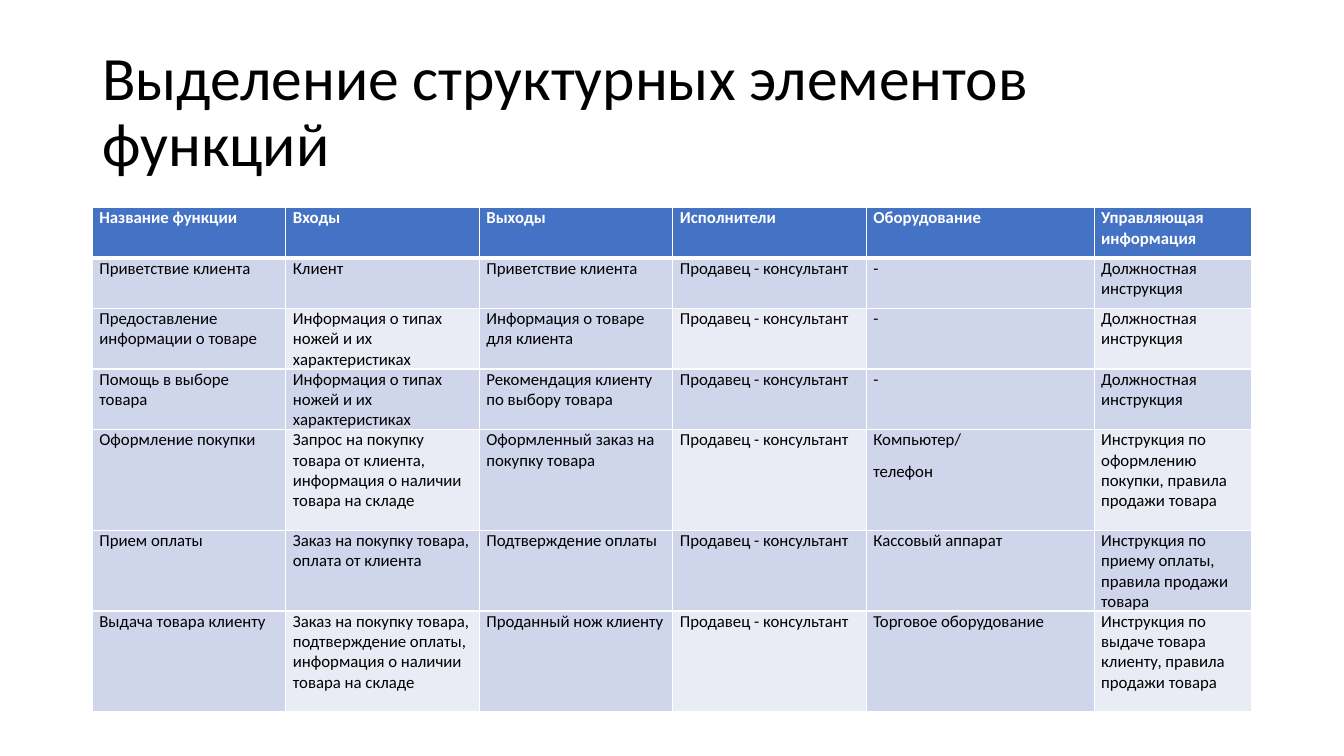
from lxml import etree
from pptx import Presentation
from pptx.dml.color import RGBColor
from pptx.enum.text import MSO_ANCHOR
from pptx.oxml.ns import qn
from pptx.util import Pt

MIDDLE = MSO_ANCHOR.MIDDLE
BLACK = RGBColor(0x00, 0x00, 0x00)
WHITE = RGBColor(0xFF, 0xFF, 0xFF)
HEADER_BLUE = RGBColor(0x44, 0x72, 0xC4)
BAND_DARK = RGBColor(0xCF, 0xD5, 0xEA)
BAND_LIGHT = RGBColor(0xE9, 0xEB, 0xF5)
FONT = "Calibri"

COLUMN_WIDTHS = [138.24, 138.24, 138.24, 138.24, 162.72, 112.32]
ROW_HEIGHTS = [36, 36, 36, 36, 72, 54, 72]
SELLER = "Продавец - консультант"
JOB_RULES = "Должностная инструкция"
KNIFE_INFO = "Информация о типах ножей и их характеристиках"
ROWS = [
    ["Название функции", "Входы", "Выходы", "Исполнители", "Оборудование",
     "Управляющая информация"],
    ["Приветствие клиента", "Клиент", "Приветствие клиента", SELLER, "-", JOB_RULES],
    ["Предоставление информации о товаре", KNIFE_INFO,
     "Информация о товаре для клиента", SELLER, "-", JOB_RULES],
    ["Помощь в выборе товара", KNIFE_INFO,
     "Рекомендация клиенту по выбору товара", SELLER, "-", JOB_RULES],
    ["Оформление покупки",
     "Запрос на покупку товара от клиента, информация о наличии товара на складе",
     "Оформленный заказ на покупку товара", SELLER, "Компьютер/\nтелефон",
     "Инструкция по оформлению покупки, правила продажи товара"],
    ["Прием оплаты", "Заказ на покупку товара, оплата от клиента",
     "Подтверждение оплаты", SELLER, "Кассовый аппарат",
     "Инструкция по приему оплаты, правила продажи товара"],
    ["Выдача товара клиенту",
     "Заказ на покупку товара, подтверждение оплаты, информация о наличии товара на складе",
     "Проданный нож клиенту", SELLER, "Торговое оборудование",
     "Инструкция по выдаче товара клиенту, правила продажи товара"],
]


def style_text(para, size, color, bold=False):
    for span in para.runs:
        span.font.name = FONT
        span.font.size = Pt(size)
        span.font.bold = bold
        span.font.color.rgb = color


def set_borders(cell, widths):
    """Draw white borders; widths are in points for left, right, top, bottom."""
    properties = cell._tc.get_or_add_tcPr()
    for index, (side, width) in enumerate(zip("LRTB", widths)):
        line = etree.Element(qn(f"a:ln{side}"), w=str(Pt(width)))
        fill = etree.SubElement(line, qn("a:solidFill"))
        etree.SubElement(fill, qn("a:srgbClr"), val=str(WHITE))
        properties.insert(index, line)


deck = Presentation()
deck.slide_width, deck.slide_height = Pt(960), Pt(540)
page = deck.slides.add_slide(deck.slide_layouts[6])

# Title
title_box = page.shapes.add_textbox(Pt(66), Pt(28.75), Pt(828), Pt(104.4))
title_frame = title_box.text_frame
title_frame.word_wrap = True
title_frame.vertical_anchor = MIDDLE
title_frame.text = "Выделение структурных элементов функций"
title_frame.paragraphs[0].line_spacing = 0.9
style_text(title_frame.paragraphs[0], 44, BLACK)

# Table of functions
table = page.shapes.add_table(
    len(ROWS), len(COLUMN_WIDTHS), Pt(66), Pt(148.4),
    Pt(sum(COLUMN_WIDTHS)), Pt(sum(ROW_HEIGHTS))).table
for column, width in zip(table.columns, COLUMN_WIDTHS):
    column.width = Pt(width)
for row, height in zip(table.rows, ROW_HEIGHTS):
    row.height = Pt(height)

for r, texts in enumerate(ROWS):
    is_header = r == 0
    for c, text in enumerate(texts):
        cell = table.cell(r, c)
        cell.margin_left = cell.margin_right = Pt(5)
        cell.margin_top = cell.margin_bottom = Pt(0)
        cell.text_frame.text = text
        for para in cell.text_frame.paragraphs:
            para.space_after = Pt(8)
            style_text(para, 12, WHITE if is_header else BLACK, is_header)

        # Every second cell of every second body row is lighter
        is_light = r % 2 == 0 and c % 2 == 1
        cell.fill.solid()
        cell.fill.fore_color.rgb = (
            HEADER_BLUE if is_header else BAND_LIGHT if is_light else BAND_DARK)
        set_borders(cell, (1, 1, 3 if r == 1 else 1, 3 if is_header else 1))

deck.save("out.pptx")
